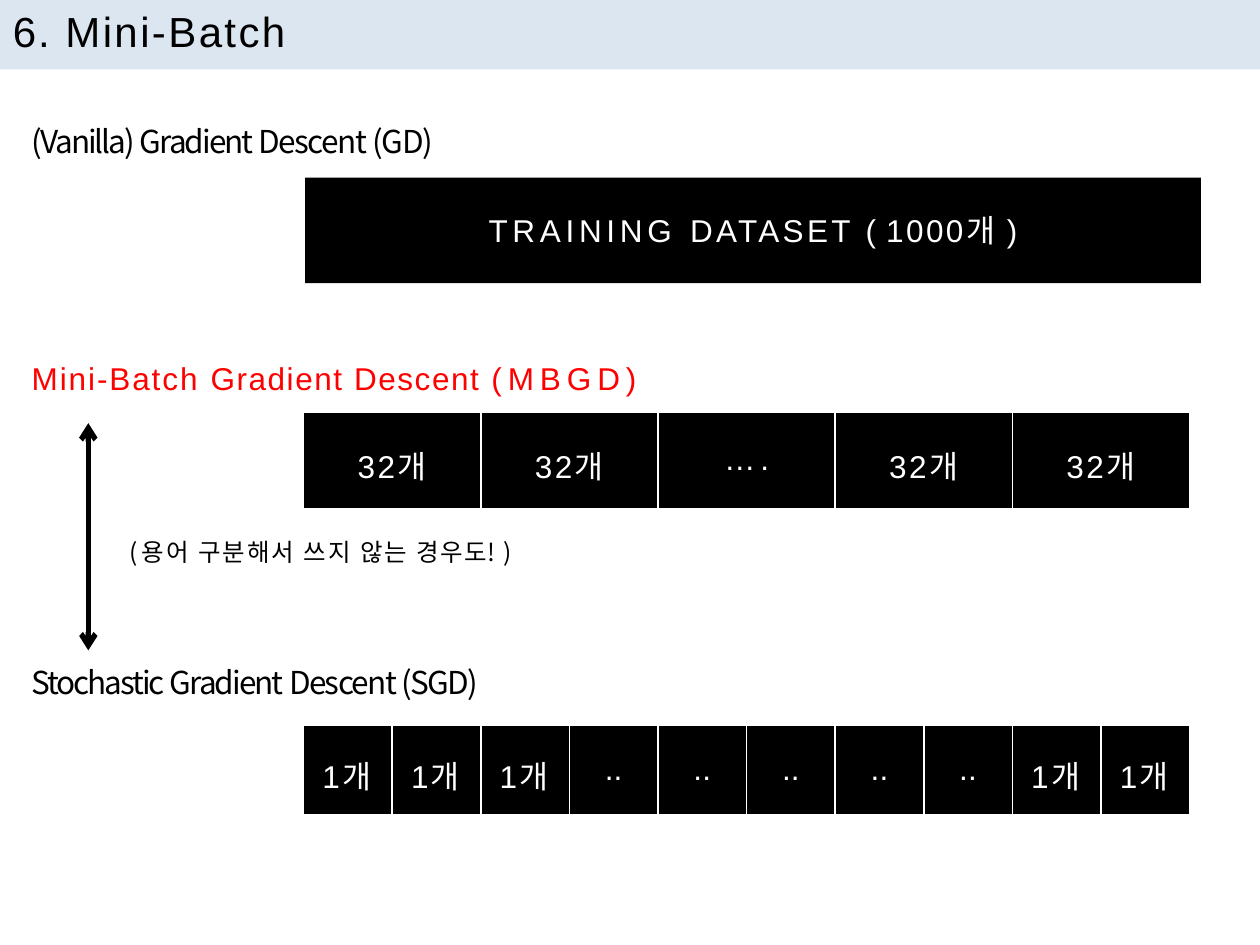
from dataclasses import dataclass
from typing import Optional

from lxml.etree import SubElement
from pptx import Presentation
from pptx.dml.color import RGBColor
from pptx.enum.shapes import MSO_CONNECTOR as Connector, MSO_SHAPE as Shape
from pptx.enum.text import MSO_ANCHOR as Anchor, MSO_AUTO_SIZE as AutoSize, PP_ALIGN as Align
from pptx.oxml import parse_xml
from pptx.oxml.ns import nsdecls, qn
from pptx.util import Cm, Pt


@dataclass(frozen=True)
class Theme:
    black: str = "000000"
    white: str = "FFFFFF"
    red: str = "FF0000"
    band: str = "DCE6F1"
    latin: str = "Arial"
    korean: str = "Noto Sans CJK JP"
    title: float = 24
    body: float = 18
    note: float = 14


@dataclass(frozen=True)
class Span:
    text: str
    spacing: float


@dataclass(frozen=True)
class Label:
    left: float
    top: float
    width: float
    height: float
    spans: tuple[Span, ...]
    font: str
    size: float
    color: str


@dataclass(frozen=True)
class Batch:
    top: float
    height: float
    cells: tuple[Span, ...]
    indent: float
    before: float


THEME = Theme()
BATCH_LEFT, BATCH_WIDTH = 6.12, 17.86

TITLE = Label(0.23, 0.08, 8.03, 1.09, (Span("6. ", 1.1), Span("Mini-Batch", 1.4)),
              THEME.latin, THEME.title, THEME.black)
LABELS = (
    Label(0.61, 2.44, 9.02, 0.84,
          (Span("(Vanilla) ", -1.2), Span("Gradient ", -1.1), Span("Descent ", -0.9), Span("(GD)", -0.8)),
          THEME.korean, THEME.body, THEME.black),
    Label(0.61, 7.21, 15.27, 0.84,
          (Span("Mini-Batch ", 1.1), Span("Gradient Descent ", 0.9), Span("(MBGD)", 3.4)),
          THEME.latin, THEME.body, THEME.red),
    Label(0.61, 13.34, 9.98, 0.84,
          (Span("Stochastic ", -1.2), Span("Gradient ", -1.1), Span("Descent (SGD)", -0.9)),
          THEME.korean, THEME.body, THEME.black),
    Label(2.59, 10.8, 9.68, 0.64,
          (Span("( ", -1.1), Span("용어 구분해서 쓰지 않는 ", 1.1), Span("경우도! ", 0.6), Span(")", -1.1)),
          THEME.korean, THEME.note, THEME.black),
)
DATASET = (Span("TRAINING ", 2.7), Span("DATASET ", 1.9), Span("( ", 0.4), Span("1000개 ", 1.4), Span(")", 0.4))

COUNT_32, COUNT_1 = Span("32개", 1.4), Span("1개", 1.4)
MORE, DOTS = Span("….", 2.7), Span("..", 0.1)
BATCHES = (
    Batch(8.31, 1.98, (COUNT_32,) * 2 + (MORE,) + (COUNT_32,) * 2, 1.09, 17),
    Batch(14.63, 1.83, (COUNT_1,) * 3 + (DOTS,) * 5 + (COUNT_1,) * 2, 0.38, 14.8),
)


def write(para, spans: tuple[Span, ...], font: str, size: float, color: str,
          align: Align = Align.LEFT, before: float = 1) -> None:
    para.alignment = align
    para.space_before = Pt(before)
    para.font.name = font
    para.font.size = Pt(size)
    para.font.color.rgb = RGBColor.from_string(color)
    for span in spans:
        run = para.add_run()
        run.text = span.text
        properties = run.font._element
        properties.set("spc", str(round(span.spacing * 100)))
        SubElement(properties, qn("a:ea")).set("typeface", THEME.korean)


def fill_label(box, label: Label) -> None:
    box.left, box.top = Cm(label.left), Cm(label.top)
    box.width, box.height = Cm(label.width), Cm(label.height)
    frame = box.text_frame
    frame.word_wrap = True
    frame.auto_size = AutoSize.NONE
    frame.vertical_anchor = Anchor.TOP
    frame.margin_left = frame.margin_top = Cm(0.03)
    frame.margin_right = frame.margin_bottom = 0
    write(frame.paragraphs[0], label.spans, label.font, label.size, label.color)


def add_block(page, left: float, top: float, width: float, height: float, color: str):
    block = page.shapes.add_shape(Shape.RECTANGLE, Cm(left), Cm(top), Cm(width), Cm(height))
    block.shadow.inherit = False
    block.fill.solid()
    block.fill.fore_color.rgb = RGBColor.from_string(color)
    block.line.fill.background()
    return block


def add_borders(cell) -> None:
    properties = cell._tc.get_or_add_tcPr()
    for index, (side, width) in enumerate({"L": 1, "R": 1, "T": 1, "B": 3}.items()):
        properties.insert(index, parse_xml(
            f'<a:ln{side} {nsdecls("a")} w="{Pt(width)}"><a:solidFill>'
            f'<a:srgbClr val="{THEME.white}"/></a:solidFill></a:ln{side}>'))


def add_batch(page, batch: Batch) -> None:
    count = len(batch.cells)
    table = page.shapes.add_table(1, count, Cm(BATCH_LEFT), Cm(batch.top),
                                  Cm(BATCH_WIDTH), Cm(batch.height)).table
    table.first_row = table.horz_banding = False
    for column, span in enumerate(batch.cells):
        table.columns[column].width = Cm(BATCH_WIDTH / count)
        cell = table.cell(0, column)
        counted = span in (COUNT_32, COUNT_1)
        cell.margin_left = Cm(batch.indent) if counted else 0
        cell.margin_top = Pt(batch.before)
        cell.margin_right = cell.margin_bottom = 0
        cell.fill.solid()
        cell.fill.fore_color.rgb = RGBColor.from_string(THEME.black)
        add_borders(cell)
        write(cell.text_frame.paragraphs[0], (span,), THEME.latin, THEME.body, THEME.white,
              Align.LEFT if counted else Align.CENTER, batch.before)


def add_double_arrow(page, x: float, top: float, bottom: float, width: Optional[float] = 3) -> None:
    arrow = page.shapes.add_connector(Connector.STRAIGHT, Cm(x), Cm(top), Cm(x), Cm(bottom))
    arrow.line.width = Pt(width)
    arrow.line.color.rgb = RGBColor.from_string(THEME.black)
    line = arrow.line._get_or_add_ln()
    for end in ("a:headEnd", "a:tailEnd"):
        SubElement(line, qn(end)).set("type", "arrow")
    SubElement(arrow._element.spPr, qn("a:effectLst"))


def main() -> None:
    deck = Presentation()
    deck.slide_width, deck.slide_height = Cm(25.4), Cm(19.05)
    page = deck.slides.add_slide(deck.slide_layouts.get_by_name("Title Only"))

    band = add_block(page, 0, 0, 25.4, 1.4, THEME.band)
    page.shapes.title._element.addprevious(band._element)
    fill_label(page.shapes.title, TITLE)

    dataset = add_block(page, 6.15, 3.58, 18.06, 2.13, THEME.black)
    dataset.text_frame.vertical_anchor = Anchor.MIDDLE
    write(dataset.text_frame.paragraphs[0], DATASET, THEME.latin, THEME.body, THEME.white, Align.CENTER)

    for batch in BATCHES:
        add_batch(page, batch)
    for label in LABELS:
        fill_label(page.shapes.add_textbox(0, 0, 0, 0), label)
    add_double_arrow(page, 1.78, 8.53, 13.11)

    deck.save("out.pptx")


if __name__ == "__main__":
    main()
